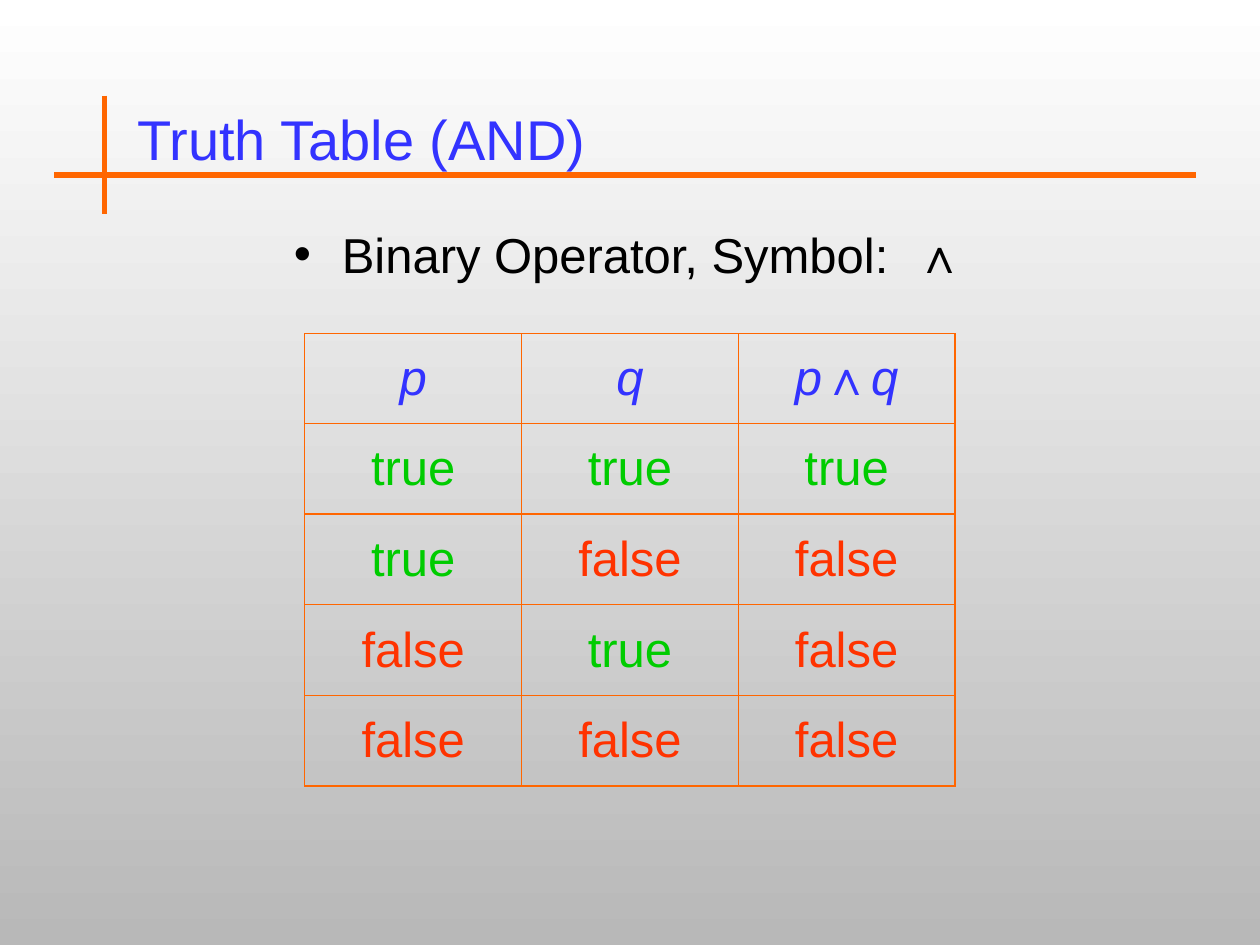
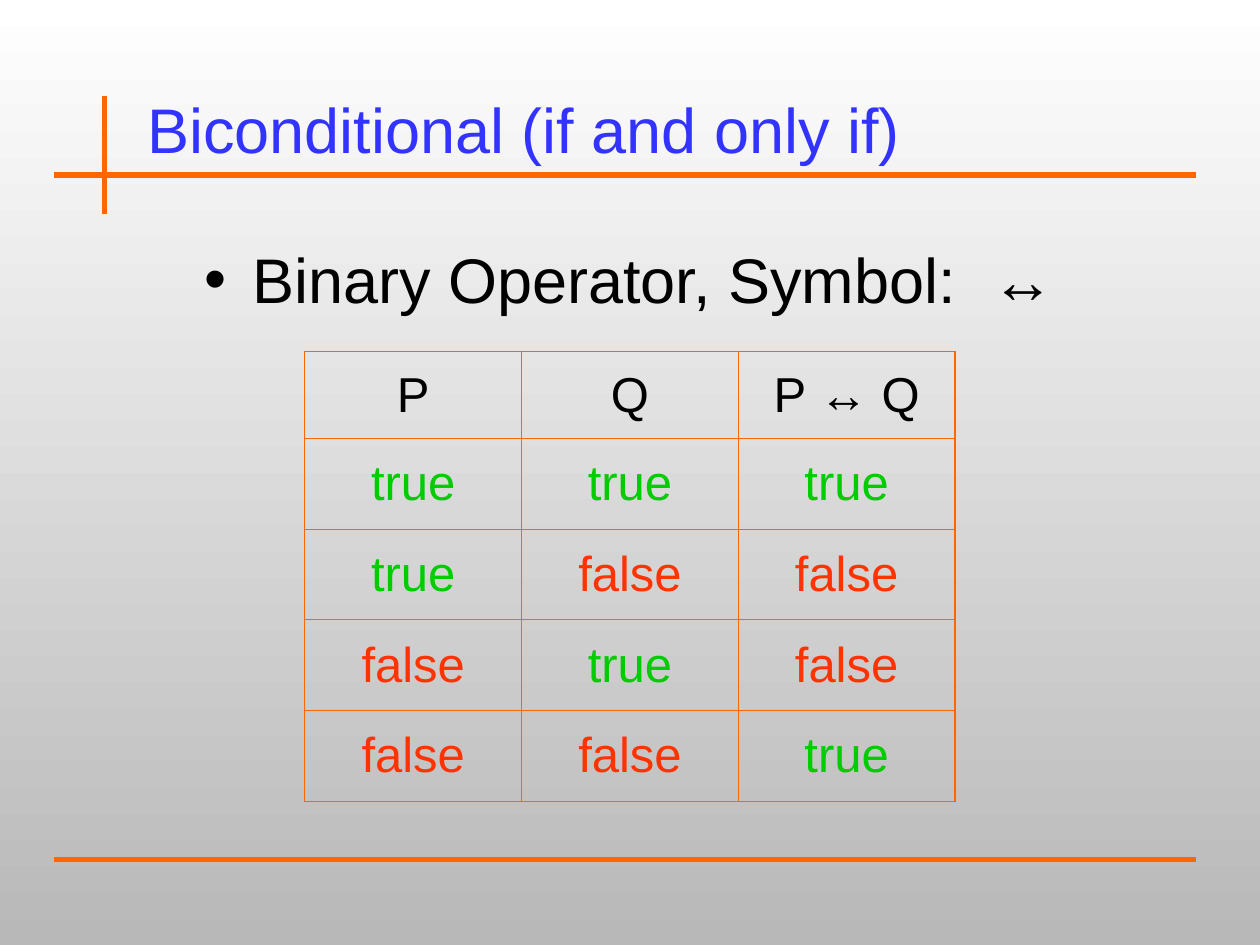
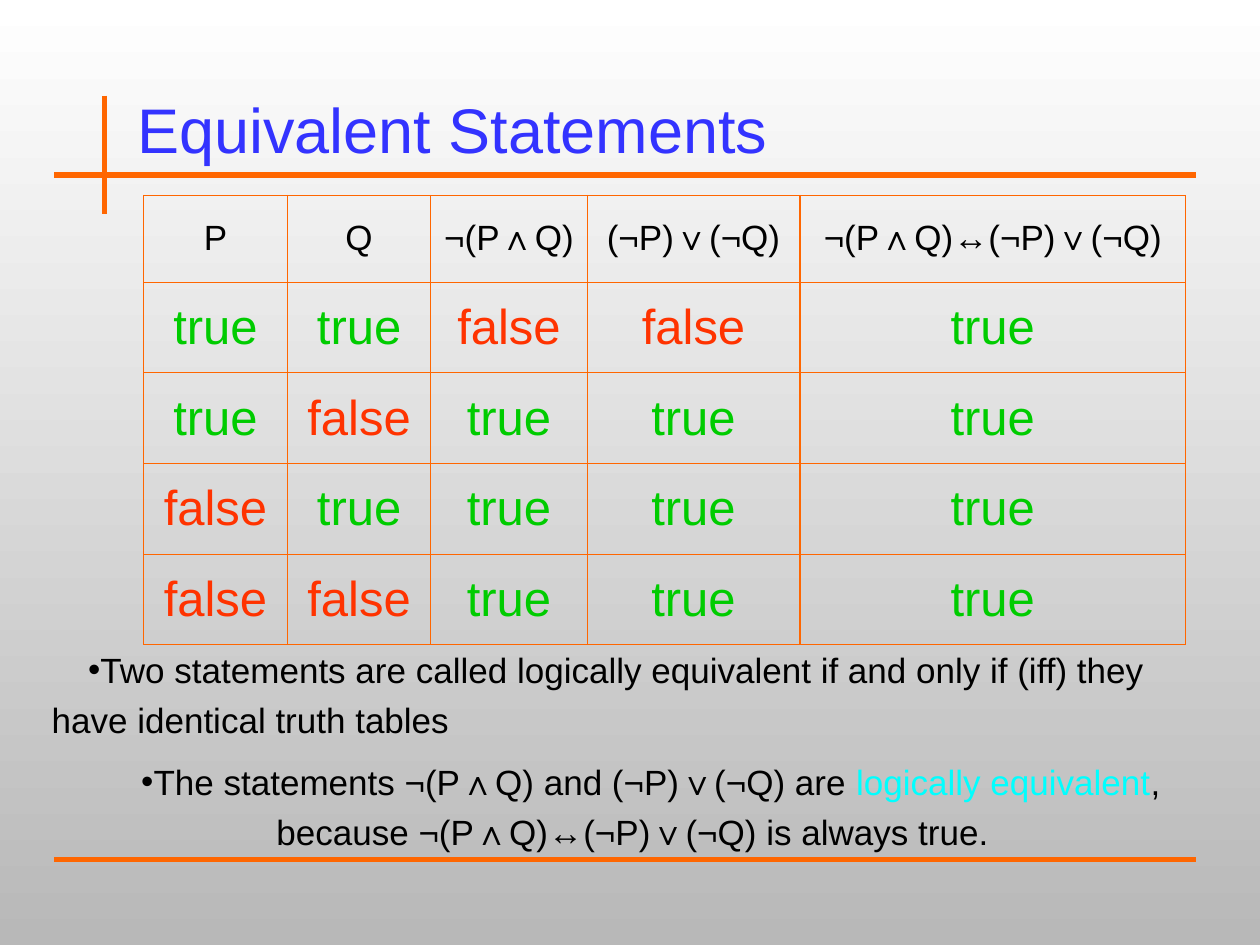
from itertools import product

from lxml import etree
from pptx import Presentation
from pptx.dml.color import RGBColor
from pptx.enum.shapes import MSO_CONNECTOR
from pptx.enum.text import MSO_ANCHOR, MSO_AUTO_SIZE, PP_ALIGN
from pptx.oxml.ns import qn
from pptx.util import Inches, Pt

LEFT, CENTER = PP_ALIGN.LEFT, PP_ALIGN.CENTER
TOP, MIDDLE = MSO_ANCHOR.TOP, MSO_ANCHOR.MIDDLE
NO_FIT = MSO_AUTO_SIZE.NONE
STRAIGHT = MSO_CONNECTOR.STRAIGHT

FONT = "Arial"
BLUE, BLACK, ORANGE = "3333FF", "000000", "FF6600"
GREEN, RED, CYAN = "00CC00", "FF3300", "00FFFF"
BACK = ("FFFFFF", "B8B8B8")

BOLD = {"bold": True}
ITALIC = {"italic": True}
HEAD_RULE = (0.43, 1.39, 9.49, 1.39)
UPRIGHT = (0.83, 0.76, 0.83, 1.7)
INNER_RULE = (0.83, 1.39, 9.25, 1.39)
FOOT_RULE = (0.43, 6.82, 9.49, 6.82)
EQUIV = ("↔", BOLD)


def rgb(code):
    return RGBColor.from_string(code)


def write(para, parts, size, color, align=LEFT):
    """Fill a paragraph with parts: plain strings or (text, style) pairs."""
    para.alignment = align
    for part in parts:
        text, style = (part, {}) if isinstance(part, str) else part
        run = para.add_run()
        run.text = text
        font = run.font
        font.name, font.size = FONT, Pt(size)
        font.bold = style.get("bold", False)
        font.italic = style.get("italic", False)
        font.color.rgb = rgb(style.get("color", color))
        if "track" in style:
            run._r.get_or_add_rPr().set("spc", str(style["track"]))


def place(shape, box, anchor):
    shape.left, shape.top, shape.width, shape.height = map(Inches, box)
    frame = shape.text_frame
    frame.auto_size = NO_FIT
    frame.word_wrap = True
    frame.vertical_anchor = anchor
    return frame


def add_title(slide, text, box, size):
    frame = place(slide.shapes.title, box, MIDDLE)
    write(frame.paragraphs[0], [text], size, BLUE)


def add_list(slide, box, items, size, margin, indent, spacing=1.0, gap=0):
    """Fill the body placeholder with (parts, align) items."""
    frame = place(slide.placeholders[1], box, TOP)
    for i, (parts, align) in enumerate(items):
        para = frame.add_paragraph() if i else frame.paragraphs[0]
        props = para._p.get_or_add_pPr()
        props.set("marL", str(Inches(margin)))
        props.set("indent", str(Inches(indent)))
        para.line_spacing = spacing
        para.space_before = Pt(gap if i else 0)
        write(para, parts, size, BLACK, align)


def add_symbol(slide, box, symbol, size):
    # The tracked blank sets the symbol apart by two blank widths.
    blank = (" ", {"track": round(size * 28)})
    parts = ["Binary Operator, Symbol:", blank, (symbol, BOLD)]
    add_list(slide, box, [(parts, CENTER)], size, 0.38, -0.38)


def add_borders(cell):
    props = cell._tc.get_or_add_tcPr()
    for i, side in enumerate(("lnL", "lnR", "lnT", "lnB")):
        line = etree.Element(qn("a:" + side), w=str(Pt(0.75)))
        fill = etree.SubElement(line, qn("a:solidFill"))
        etree.SubElement(fill, qn("a:srgbClr"), val=ORANGE)
        props.insert(i, line)


def add_truth(slide, left, top, widths, first, heads, rules, size=28, color=BLACK):
    """Draw a truth table; each rule gives one column from p and q."""
    heights = [first] + [0.72] * 4
    box = [Inches(n) for n in (left, top, sum(widths), sum(heights))]
    table = slide.shapes.add_table(5, len(widths), *box).table
    table.first_row = table.horz_banding = False
    for col, width in zip(table.columns, widths):
        col.width = Inches(width)
    for row, height in zip(table.rows, heights):
        row.height = Inches(height)

    for col, parts in enumerate(heads):
        write(table.cell(0, col).text_frame.paragraphs[0], parts, size, color, CENTER)
    for row, (p, q) in enumerate(product((True, False), repeat=2), 1):
        for col, rule in enumerate(rules):
            text, tint = ("true", GREEN) if rule(p, q) else ("false", RED)
            para = table.cell(row, col).text_frame.paragraphs[0]
            write(para, [text], 28, tint, CENTER)
    for cell in table.iter_cells():
        cell.vertical_anchor = MIDDLE
        cell.fill.background()
        add_borders(cell)


def add_rules(slide, extra):
    for ends in (extra, HEAD_RULE, UPRIGHT):
        line = slide.shapes.add_connector(STRAIGHT, *map(Inches, ends))
        line.line.color.rgb = rgb(ORANGE)
        line.line.width = Pt(3)
        etree.SubElement(line._element.spPr, qn("a:effectLst"))


def is_p(p, q):
    return p


def is_q(p, q):
    return q


def both(p, q):
    return p and q


def same(p, q):
    return p == q


def not_both(p, q):
    return not (p and q)


def either_not(p, q):
    return not p or not q


def law(p, q):
    return not_both(p, q) == either_not(p, q)


def and_slide(slide):
    add_title(slide, "Truth Table (AND)", (0.99, 0.72, 8.5, 0.75), 32)
    add_symbol(slide, (0.58, 1.73, 8.83, 0.92), "∧", 28)
    p, q = ("p", ITALIC), ("q", ITALIC)
    add_truth(slide, 2.42, 2.65, [1.72] * 3, 0.71, [[p], [q], [p, "∧", q]],
              [is_p, is_q, both], color=BLUE)
    add_rules(slide, INNER_RULE)


def iff_slide(slide):
    add_title(slide, "Biconditional (if and only if)", (1.07, 0.64, 6.93, 0.75), 36)
    add_symbol(slide, (0.58, 1.86, 8.83, 0.92), "↔", 36)
    heads = [["P"], ["Q"], ["P ", ("↔ ", BOLD), "Q"]]
    add_truth(slide, 2.42, 2.79, [1.72] * 3, 0.69, heads, [is_p, is_q, same])
    add_rules(slide, FOOT_RULE)


def equal_slide(slide):
    add_title(slide, "Equivalent Statements", (0.99, 0.64, 6.22, 0.75), 36)
    one, two = "¬(P∧Q)", "(¬P)∨(¬Q)"
    heads = [["P"], ["Q"], [one], [two], [one, EQUIV, two]]
    add_truth(slide, 1.14, 1.55, [1.14, 1.14, 1.24, 1.69, 3.06], 0.69, heads,
              [is_p, is_q, not_both, either_not, law], size=20)
    items = [
        (["Two statements are called logically equivalent if and only if (iff) "
          "they have identical truth tables"], LEFT),
        ([f"The statements {one} and {two} are ",
          ("logically equivalent", {"color": CYAN}),
          f", because {one}", EQUIV, f"{two} is always true."], CENTER),
    ]
    add_list(slide, (0.31, 5.03, 9.42, 1.08), items, 20, 0, 0.29, 1.2, 6.2)
    add_rules(slide, FOOT_RULE)


def main():
    deck = Presentation()
    deck.slide_width, deck.slide_height = Inches(10), Inches(7.5)
    fill = deck.slide_master.background.fill
    fill.gradient()
    fill.gradient_angle = 270
    for stop, color, spot in zip(fill.gradient_stops, BACK, (0, 1)):
        stop.color.rgb = rgb(color)
        stop.position = spot
    for build in (and_slide, iff_slide, equal_slide):
        build(deck.slides.add_slide(deck.slide_layouts[1]))
    deck.save("out.pptx")


if __name__ == "__main__":
    main()
